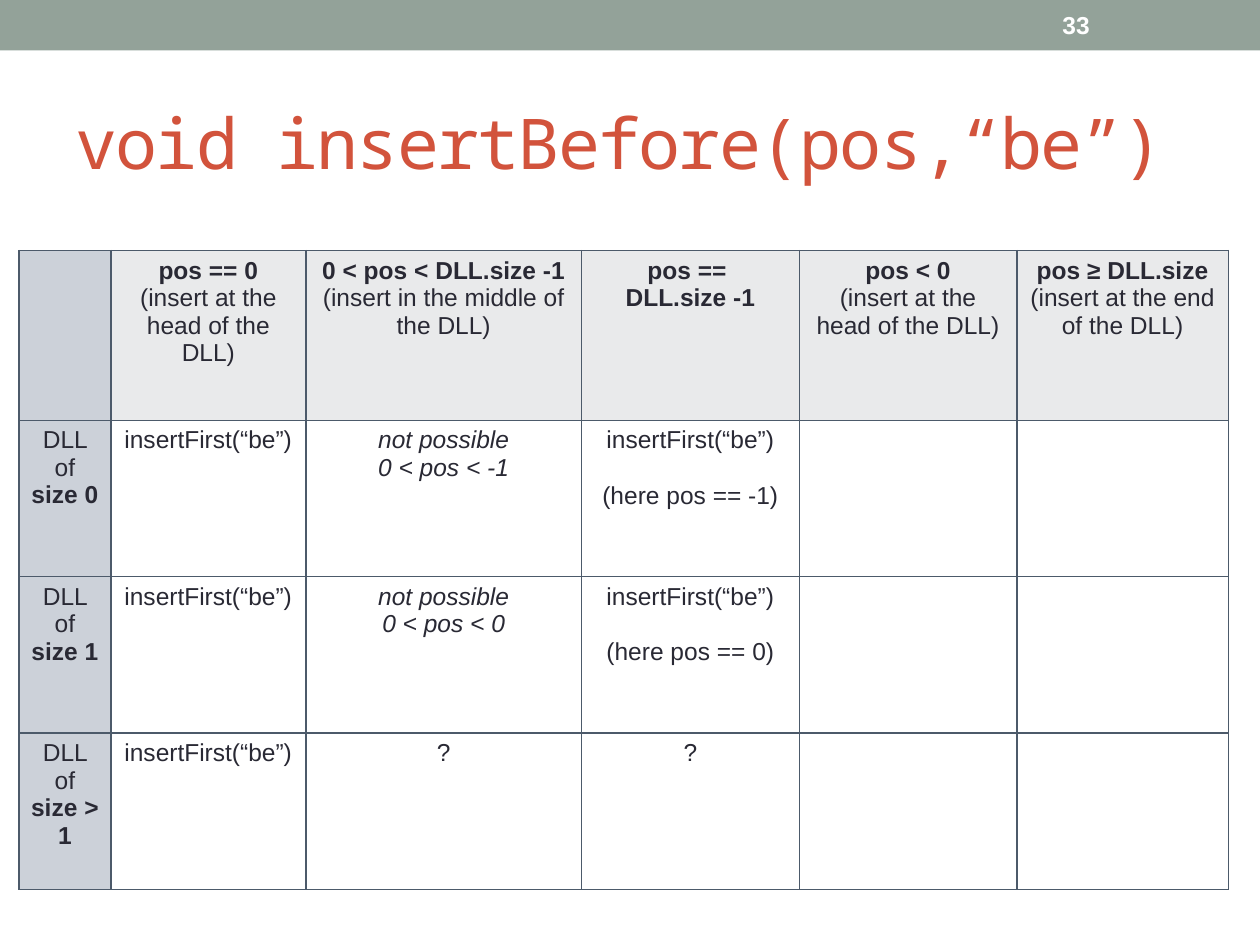
from lxml import etree
from pptx import Presentation
from pptx.dml.color import RGBColor
from pptx.enum import shapes, text
from pptx.oxml import ns
from pptx.util import Pt

SAGE = RGBColor(0x93, 0xA2, 0x99)
RUST = RGBColor(0xD2, 0x53, 0x3C)
INK = RGBColor(0x29, 0x29, 0x34)
WHITE = RGBColor(0xFF, 0xFF, 0xFF)
HEADER_GREY = RGBColor(0xE9, 0xEA, 0xEB)
SIDE_BLUE = RGBColor(0xCC, 0xD1, 0xD9)
BORDER = RGBColor(0x4C, 0x5A, 0x6A)

TITLE = "void insertBefore(pos,“be”)"
PAGE_NUMBER = "33"
PLAIN, BOLD, ITALIC = "plain", "bold", "italic"
INSERT_FIRST = [[("insertFirst(“be”)", PLAIN)]]
UNKNOWN = [[("?", PLAIN)]]


def position(condition, effect, style=PLAIN):
    return [[(condition, BOLD)], [(effect, style)]]


def size(label):
    return [[("DLL of ", PLAIN), (label, BOLD)]]


def impossible(condition):
    return [[("not possible", ITALIC)], [(condition, ITALIC)]]


def first_when(note):
    return INSERT_FIRST + [[(note, PLAIN)]]


CASES = [
    [[],
     position("pos == 0", "(insert at the head of the DLL)"),
     position("0 < pos < DLL.size -1", "(insert in the middle of the DLL)"),
     position("pos == ", "DLL.size -1", BOLD),
     position("pos < 0", "(insert at the head of the DLL)"),
     position("pos ≥ DLL.size", "(insert at the end of the DLL)")],
    [size("size 0"), INSERT_FIRST, impossible("0 < pos < -1"),
     first_when("(here pos == -1)"), [], []],
    [size("size 1"), INSERT_FIRST, impossible("0 < pos < 0"),
     first_when("(here pos == 0)"), [], []],
    [size("size > 1"), INSERT_FIRST, UNKNOWN, UNKNOWN, [], []],
]
COLUMN_WIDTHS = [52.6, 111.4, 157.6, 124.4, 124.4, 120.8]
ROW_HEIGHTS = [97, 89.4, 89.4, 89.4]
NOTE_GAP = 16


def style_run(run, points, colour, font="Arial", bold=False, italic=False):
    run.font.name = font
    run.font.size = Pt(points)
    run.font.color.rgb = colour
    run.font.bold = bold
    run.font.italic = italic


def add_line(slide, words, left, top, width, height, **style):
    frame = slide.shapes.add_textbox(Pt(left), Pt(top), Pt(width), Pt(height)).text_frame
    frame.word_wrap = True
    frame.vertical_anchor = text.MSO_ANCHOR.MIDDLE
    frame.text = words
    run = frame.paragraphs[0].runs[0]
    style_run(run, **style)
    return run


def add_borders(cell):
    properties = cell._tc.get_or_add_tcPr()
    for index, side in enumerate(("lnL", "lnR", "lnT", "lnB")):
        edge = etree.Element(ns.qn("a:" + side), w=str(Pt(1)))
        fill = etree.SubElement(edge, ns.qn("a:solidFill"))
        etree.SubElement(fill, ns.qn("a:srgbClr"), val=str(BORDER))
        properties.insert(index, edge)


def fill_cell(cell, paragraphs, colour):
    cell.fill.solid()
    cell.fill.fore_color.rgb = colour
    cell.margin_left = cell.margin_right = Pt(7)
    add_borders(cell)
    frame = cell.text_frame
    for index, pieces in enumerate(paragraphs):
        paragraph = frame.add_paragraph() if index else frame.paragraphs[0]
        paragraph.alignment = text.PP_ALIGN.CENTER
        if pieces[0][0].startswith("(here"):
            paragraph.space_before = Pt(NOTE_GAP)
        for words, style in pieces:
            run = paragraph.add_run()
            run.text = words
            style_run(run, 14, INK, bold=style == BOLD, italic=style == ITALIC)


deck = Presentation()
deck.slide_width, deck.slide_height = Pt(720), Pt(540)
slide = deck.slides.add_slide(deck.slide_layouts[6])

band = slide.shapes.add_shape(shapes.MSO_SHAPE.RECTANGLE, 0, 0, Pt(720), Pt(28.8))
band.shadow.inherit = False
band.fill.solid()
band.fill.fore_color.rgb = SAGE
band.line.fill.background()

title = add_line(slide, TITLE, 36, 41.8, 648, 77.8,
                 points=40, colour=RUST, font="Noto Sans Mono")
title.font._element.set("spc", "-100")
add_line(slide, PAGE_NUMBER, 600, 1.4, 84, 26, points=14, colour=WHITE, bold=True)

cases = slide.shapes.add_table(
    len(ROW_HEIGHTS), len(COLUMN_WIDTHS), Pt(10.8), Pt(143.2),
    Pt(sum(COLUMN_WIDTHS)), Pt(sum(ROW_HEIGHTS))).table
for column, width in zip(cases.columns, COLUMN_WIDTHS):
    column.width = Pt(width)
for row, height in zip(cases.rows, ROW_HEIGHTS):
    row.height = Pt(height)
for r, entries in enumerate(CASES):
    for c, paragraphs in enumerate(entries):
        colour = SIDE_BLUE if c == 0 else HEADER_GREY if r == 0 else WHITE
        fill_cell(cases.cell(r, c), paragraphs, colour)

deck.save("out.pptx")
